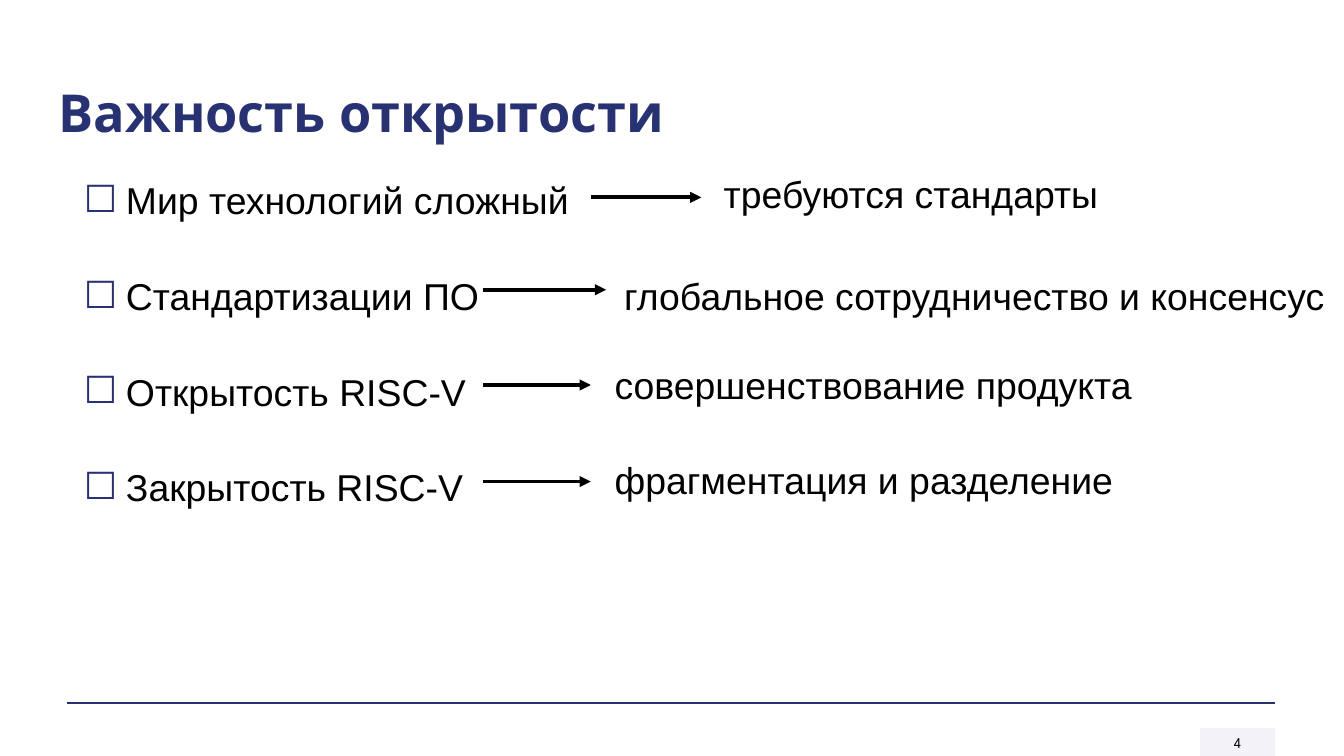
import pptx
import pptx.dml.color
import pptx.enum.shapes
import pptx.enum.text
import pptx.oxml.ns
import pptx.util
from lxml import etree

PX = 9525
COLORS = {"navy": "283272", "black": "000000", "chip": "F3F1F9"}
ANCHOR = pptx.enum.text.MSO_ANCHOR
ALIGN = pptx.enum.text.PP_ALIGN
PREMISES = [
    ["Мир технологий сложный"],
    ["Стандартизации ПО", " ", "глобальное сотрудничество и консенсус"],
    ["Открытость RISC-V"],
    ["Закрытость RISC-V"],
]
ARROWS = [(390, 29, 79), (313, 95, 88), (313, 163, 77), (313, 232, 77)]
CONSEQUENCES = [
    ("требуются стандарты", (479, 5, 283, 43)),
    ("совершенствование продукта", (401, 141, 384, 43)),
    ("фрагментация и разделение", (401, 209, 372, 43)),
]


def rgb(name):
    """Return the named palette colour."""
    return pptx.dml.color.RGBColor.from_string(COLORS[name])


def add_child(parent, tag, **attributes):
    """Append a DrawingML element and return it."""
    return etree.SubElement(parent, pptx.oxml.ns.qn(tag), **attributes)


def place(shape, box):
    """Move a shape to a box given in px."""
    shape.left, shape.top, shape.width, shape.height = (value * PX for value in box)


def add_bullet(paragraph, character):
    """Give a paragraph a hanging navy bullet."""
    properties = paragraph._p.get_or_add_pPr()
    properties.set("marL", str(48 * PX))
    properties.set("indent", str(-30 * PX))
    add_child(add_child(properties, "a:buClr"), "a:srgbClr", val=COLORS["navy"])
    add_child(properties, "a:buFont", typeface="Arial")
    add_child(properties, "a:buChar", char=character)


def write(shape, *lines, size=20, font="Arial", color="black", bold=False, align=ALIGN.LEFT,
          anchor=ANCHOR.TOP, insets=(10, 10), wrap=True, bullet=None, gap=72):
    """Fill a shape with lines of runs, widening a run that is one space by gap points."""
    frame = shape.text_frame
    frame.word_wrap = wrap
    frame.auto_size = pptx.enum.text.MSO_AUTO_SIZE.NONE
    frame.vertical_anchor = anchor
    frame.margin_left = frame.margin_right = insets[0] * PX
    frame.margin_top = frame.margin_bottom = insets[1] * PX
    for index, parts in enumerate(lines):
        paragraph = frame.add_paragraph() if index else frame.paragraphs[0]
        paragraph.alignment = align
        if bullet:
            paragraph.line_spacing = 1.3 if index else 1.15
            if index:
                paragraph.space_before = pptx.util.Pt(20)
            add_bullet(paragraph, bullet)
        for part in parts:
            run = paragraph.add_run()
            run.text = part
            run.font.size = pptx.util.Pt(size)
            run.font.name = font
            run.font.bold = bold
            run.font.color.rgb = rgb(color)
            if part == " ":
                run._r.get_or_add_rPr().set("spc", str(gap * 100))


def add_line(slide, left, top, width, color="black", weight=2, arrow=False):
    """Draw a horizontal rule or arrow."""
    line = slide.shapes.add_connector(
        pptx.enum.shapes.MSO_CONNECTOR.STRAIGHT,
        left * PX, top * PX, (left + width) * PX, top * PX)
    line.line.color.rgb = rgb(color)
    line.line.width = pptx.util.Pt(weight)
    if arrow:
        add_child(line.line._get_or_add_ln(), "a:tailEnd", type="triangle")
    add_child(line._element.spPr, "a:effectLst")


def add_footer(slide, left, top, width, number):
    """Draw the footer rule and the page number chip at its right end."""
    chip = slide.shapes.add_shape(pptx.enum.shapes.MSO_SHAPE.RECTANGLE, 0, 0, PX, PX)
    place(chip, (left + width - 54, top + 18, 54, 20))
    chip.shadow.inherit = False
    chip.fill.solid()
    chip.fill.fore_color.rgb = rgb("chip")
    fill_color = chip._element.spPr.find(".//" + pptx.oxml.ns.qn("a:srgbClr"))
    add_child(fill_color, "a:alpha", val="90000")
    chip.line.fill.background()
    write(chip, [number], size=8, font="League Spartan", align=ALIGN.CENTER, insets=(7, 4))
    add_line(slide, left, top, width, color="navy", weight=1)


def add_title(slide, box, text):
    """Place and format the title placeholder."""
    place(slide.shapes.title, box)
    write(slide.shapes.title, [text], size=28, font="League Spartan", color="navy", bold=True)


def add_implications(slide, box):
    """List the premises, each with an arrow to its consequence."""
    left, top = box[:2]
    premises = slide.shapes.add_textbox(*(value * PX for value in box))
    write(premises, *PREMISES, bullet="☐")
    for x, y, width in ARROWS:
        add_line(slide, left + x, top + y, width, arrow=True)
    for text, (x, y, width, height) in CONSEQUENCES:
        consequence = slide.shapes.add_textbox(0, 0, PX, PX)
        place(consequence, (left + x, top + y, width, height))
        write(consequence, [text], anchor=ANCHOR.MIDDLE, insets=(6, 6), wrap=False)


def main():
    """Build and save the slide."""
    presentation = pptx.Presentation()
    presentation.slide_width, presentation.slide_height = 960 * PX, 540 * PX
    slide = presentation.slides.add_slide(presentation.slide_layouts[5])
    add_footer(slide, 48, 502, 863, "4")
    add_title(slide, (32, 47, 733, 34), "Важность открытости")
    add_implications(slide, (32, 112, 1218, 640))
    presentation.save("out.pptx")


if __name__ == "__main__":
    main()
